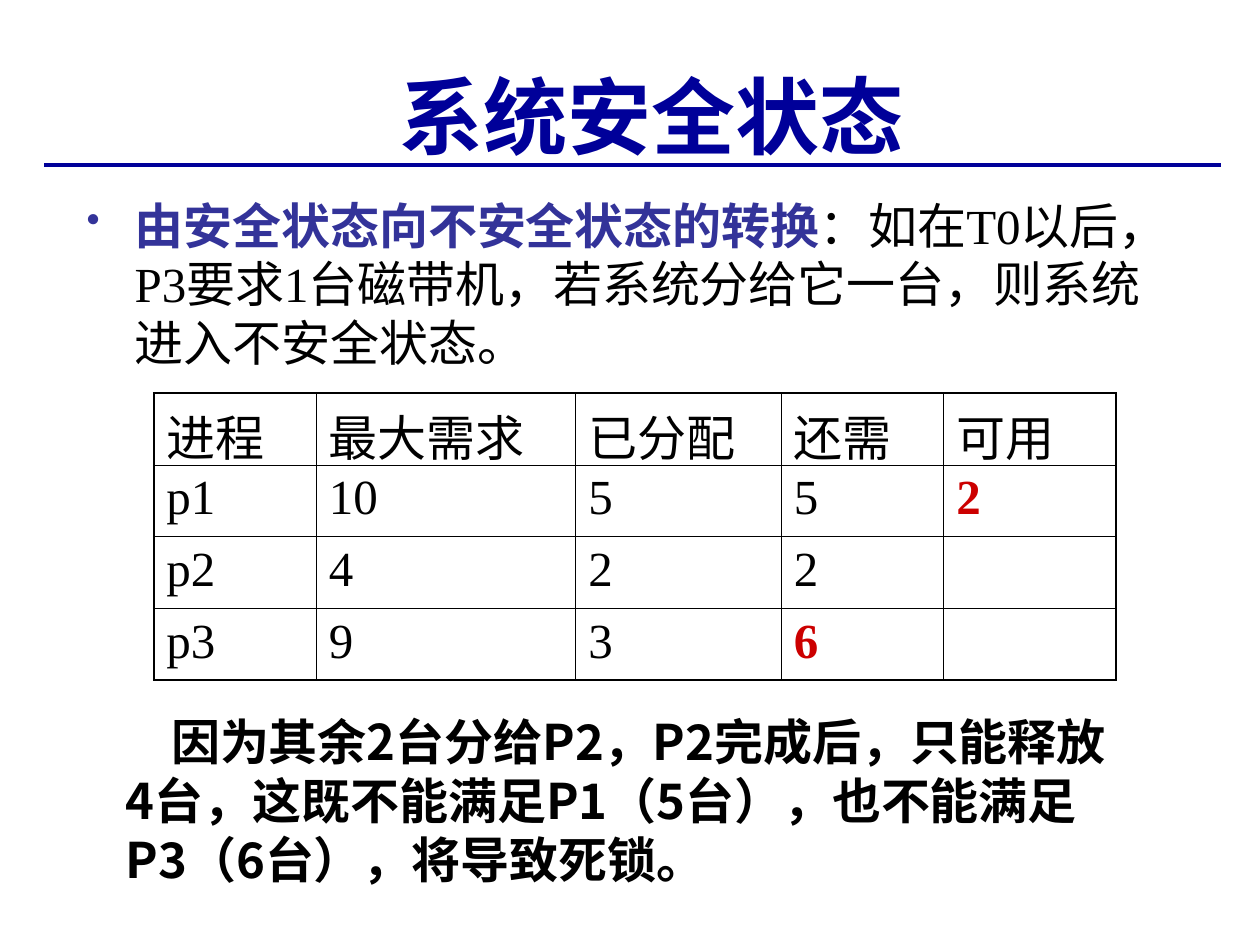
"""Build the slide on the change from a safe to an unsafe system state."""
from dataclasses import dataclass

from lxml.etree import SubElement
from pptx import Presentation
from pptx.dml.color import RGBColor
from pptx.enum.shapes import MSO_CONNECTOR
from pptx.enum.text import MSO_ANCHOR, PP_ALIGN
from pptx.oxml.ns import qn
from pptx.util import Inches, Pt

NAVY = RGBColor(0x00, 0x00, 0x99)
INDIGO = RGBColor(0x33, 0x33, 0x99)
RED = RGBColor(0xCC, 0x00, 0x00)
BLACK = RGBColor(0x00, 0x00, 0x00)
SERIF = "Times New Roman"
SANS = "Noto Sans CJK SC"
OUTER, INNER = Pt(1.08), Pt(0.45)


@dataclass(frozen=True)
class Block:
    left: float
    top: float
    width: float
    height: float
    inset_top: float = 0.05
    inset_bottom: float = 0.05
    anchor: MSO_ANCHOR = MSO_ANCHOR.TOP


def add_block(slide, block: Block):
    box = slide.shapes.add_textbox(
        Inches(block.left), Inches(block.top), Inches(block.width), Inches(block.height)
    )
    frame = box.text_frame
    frame.word_wrap = True
    frame.vertical_anchor = block.anchor
    frame.margin_top = Inches(block.inset_top)
    frame.margin_bottom = Inches(block.inset_bottom)
    return frame.paragraphs[0]


def set_indent(paragraph, margin: float, first: float) -> None:
    properties = paragraph._p.get_or_add_pPr()
    properties.set("marL", str(Inches(margin)))
    properties.set("indent", str(Inches(first)))


def add_bullet(paragraph, color: RGBColor) -> None:
    properties = paragraph._p.get_or_add_pPr()
    SubElement(SubElement(properties, qn("a:buClr")), qn("a:srgbClr")).set("val", str(color))
    SubElement(properties, qn("a:buSzPct")).set("val", "80000")
    SubElement(properties, qn("a:buChar")).set("char", "•")


def add_text(paragraph, text: str, *, size: float = 28, font: str = SERIF,
             color: RGBColor = BLACK, bold: bool = False) -> None:
    run = paragraph.add_run()
    run.text = text
    run.font.size = Pt(size)
    run.font.name = font
    run.font.bold = bold
    run.font.color.rgb = color
    east_asian = SubElement(run._r.get_or_add_rPr(), qn("a:ea"))
    east_asian.set("typeface", SANS)


def set_border(cell, side: str, width: int) -> None:
    edge = SubElement(cell._tc.get_or_add_tcPr(), qn(f"a:ln{side}"))
    edge.set("w", str(width))
    fill = SubElement(edge, qn("a:solidFill"))
    SubElement(fill, qn("a:srgbClr")).set("val", str(BLACK))


def add_rule(slide) -> None:
    rule = slide.shapes.add_connector(
        MSO_CONNECTOR.STRAIGHT, Inches(0.35), Inches(1.31), Inches(9.69), Inches(1.31)
    )
    rule.line.color.rgb = NAVY
    rule.line.width = Pt(2.5)
    SubElement(rule._element.spPr, qn("a:effectLst"))


def add_allocation(slide) -> None:
    rows = (
        ("进程", "最大需求", "已分配", "还需", "可用"),
        ("p1", "10", "5", "5", "2"),
        ("p2", "4", "2", "2", ""),
        ("p3", "9", "3", "6", ""),
    )
    highlights = {(1, 4), (3, 3)}
    widths = (1.29, 2.06, 1.63, 1.29, 1.37)
    last_row, last_column = len(rows) - 1, len(widths) - 1
    table = slide.shapes.add_table(
        len(rows), len(widths), Inches(1.22), Inches(3.12), Inches(sum(widths)), Inches(2.27)
    ).table
    table.first_row = table.horz_banding = False
    for column, width in zip(table.columns, widths):
        column.width = Inches(width)
    for i, row in enumerate(rows):
        table.rows[i].height = Inches(0.57)
        for j, value in enumerate(row):
            cell = table.cell(i, j)
            outer_sides = {"L": j == 0, "R": j == last_column, "T": i == 0, "B": i == last_row}
            for side, is_outer in outer_sides.items():
                set_border(cell, side, OUTER if is_outer else INNER)
            cell.fill.background()
            paragraph = cell.text_frame.paragraphs[0]
            set_indent(paragraph, 0.31, -0.31)
            if value:
                marked = (i, j) in highlights
                add_text(paragraph, value, color=RED if marked else BLACK, bold=marked)


def main() -> None:
    deck = Presentation()
    deck.slide_width, deck.slide_height = Inches(10), Inches(7.5)
    slide = deck.slides.add_slide(deck.slide_layouts[6])
    add_rule(slide)

    title = add_block(slide, Block(0.67, 0, 9.16, 1.31, inset_bottom=0, anchor=MSO_ANCHOR.BOTTOM))
    title.alignment = PP_ALIGN.CENTER
    add_text(title, "系统安全状态 ", size=48, font=SANS, color=NAVY, bold=True)

    transition = add_block(slide, Block(0.59, 1.47, 8.74, 1.57, inset_top=0.08))
    set_indent(transition, 0.38, -0.38)
    add_bullet(transition, INDIGO)
    transition.line_spacing = Pt(33.6)
    add_text(transition, "由安全状态向不安全状态的转换", color=INDIGO, bold=True)
    add_text(transition, "：如在T0以后，P3要求1台磁带机，若系统分给它一台，则系统进入不安全状态。")

    add_allocation(slide)

    conclusion = add_block(slide, Block(0.9, 5.56, 8.03, 1.5, inset_top=0.09))
    set_indent(conclusion, 0, 0.36)
    conclusion.line_spacing = Pt(33.6)
    add_text(
        conclusion,
        "因为其余2台分给P2，P2完成后，只能释放4台，这既不能满足P1（5台），也不能满足P3（6台），将导致死锁。",
        font=SANS, bold=True,
    )
    deck.save("out.pptx")


if __name__ == "__main__":
    main()
